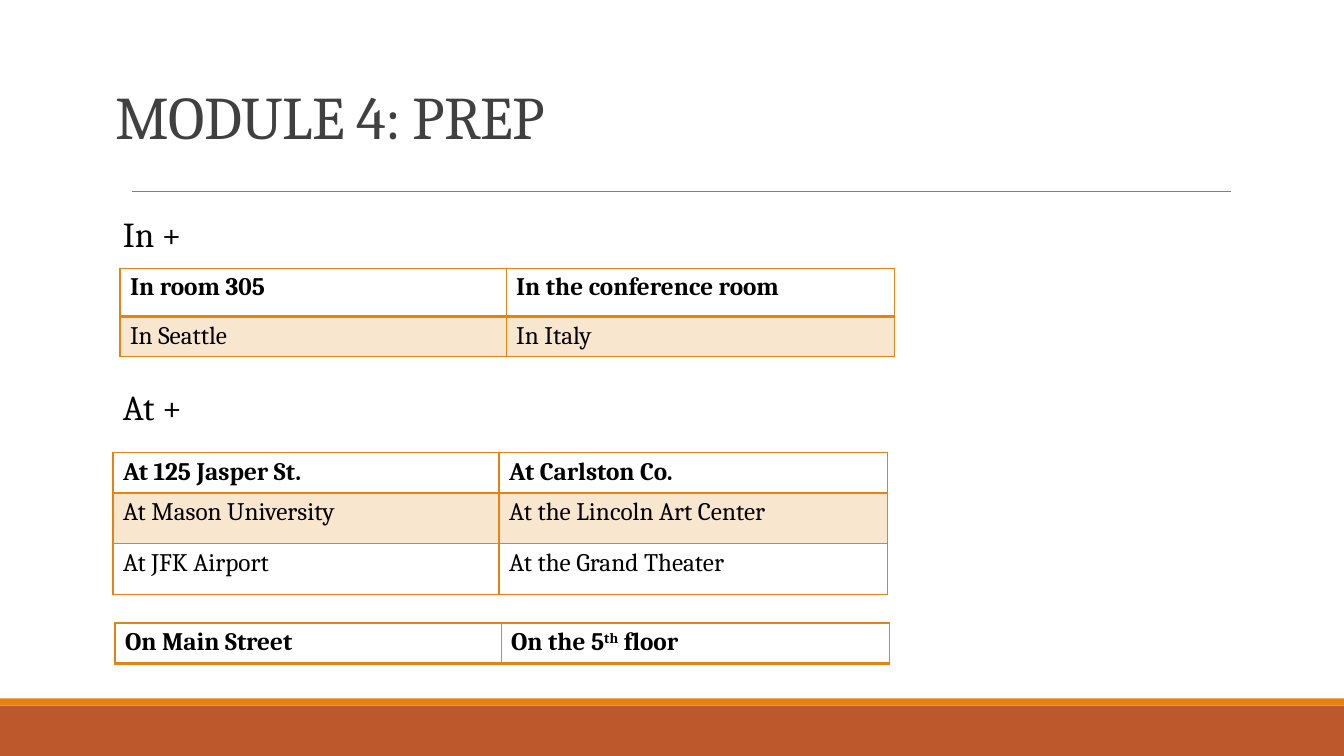
from lxml import etree
from pptx import Presentation
from pptx.dml.color import RGBColor
from pptx.enum.shapes import MSO_CONNECTOR, MSO_SHAPE
from pptx.enum.text import MSO_ANCHOR, MSO_AUTO_SIZE
from pptx.oxml.ns import qn
from pptx.util import Inches, Pt

STRAIGHT = MSO_CONNECTOR.STRAIGHT
RECTANGLE = MSO_SHAPE.RECTANGLE
BOTTOM = MSO_ANCHOR.BOTTOM
GROW = MSO_AUTO_SIZE.SHAPE_TO_FIT_TEXT

ORANGE = "E48312"
COLUMN_WIDTHS = [3.83, 3.85]


def style_font(font, size, color, bold=False):
    """Set typeface, size, hex colour and weight of a font."""
    font.name = "Cambria"
    font.size = Pt(size)
    font.bold = bold
    font.color.rgb = RGBColor.from_string(color)


def add_borders(cell, widths):
    """Draw orange borders, with widths in points by side tag."""
    properties = cell._tc.get_or_add_tcPr()
    for position, (side, width) in enumerate(widths.items()):
        line = etree.Element(qn(f"a:{side}"), w=str(Pt(width)))
        fill = etree.SubElement(line, qn("a:solidFill"))
        etree.SubElement(fill, qn("a:srgbClr"), val=ORANGE)
        properties.insert(position, line)


presentation = Presentation()
presentation.slide_width = Inches(13.33)
presentation.slide_height = Inches(7.5)
slide = presentation.slides.add_slide(presentation.slide_layouts[5])

# Footer bands and the rule under the title
for top, height, color in [(7, 0.5, "BD582C"), (6.93, 0.07, ORANGE)]:
    band = slide.shapes.add_shape(
        RECTANGLE, 0, Inches(top), presentation.slide_width, Inches(height))
    band.shadow.inherit = False
    band.fill.solid()
    band.fill.fore_color.rgb = RGBColor.from_string(color)
    band.line.fill.background()

rule = slide.shapes.add_connector(
    STRAIGHT, Inches(1.31), Inches(1.9), Inches(12.21), Inches(1.9))
rule.line.color.rgb = RGBColor.from_string("808080")
rule.line.width = Pt(0.5)
etree.SubElement(rule._element.spPr, qn("a:effectLst"))

# Title
title = slide.shapes.title
title.left, title.top = Inches(1.05), Inches(0.99)
title.width, title.height = Inches(11.5), Inches(0.57)
title.text_frame.text = "MODULE 4: PREP"
title.text_frame.vertical_anchor = BOTTOM
title.text_frame.auto_size = MSO_AUTO_SIZE.NONE
paragraph = title.text_frame.paragraphs[0]
paragraph.alignment = 1
paragraph.line_spacing = 0.85
style_font(paragraph.font, 43.2, "404040")
paragraph.runs[0].font._element.set("spc", "-50")

# Headings of the preposition groups
for text, top in [("In +", 2.06), ("At +", 3.78)]:
    heading = slide.shapes.add_textbox(
        Inches(1.12), Inches(top), Inches(7.7), Inches(0.52))
    heading.text_frame.word_wrap = True
    heading.text_frame.auto_size = GROW
    heading.text_frame.text = text
    style_font(heading.text_frame.paragraphs[0].font, 25, "000000")

# Example tables: left, top, row heights, rows; "^" encloses superscript
tables = [
    (1.19, 2.66, [0.48, 0.4],
     [["In room 305", "In the conference room"],
      ["In Seattle", "In Italy"]]),
    (1.12, 4.49, [0.4, 0.5, 0.51],
     [["At 125 Jasper St.", "At Carlston Co."],
      ["At Mason University", "At the Lincoln Art Center"],
      ["At JFK Airport", "At the Grand Theater"]]),
    (1.14, 6.18, [0.4],
     [["On Main Street", "On the 5^th^ floor"]]),
]
for left, top, heights, rows in tables:
    table = slide.shapes.add_table(
        len(rows), len(COLUMN_WIDTHS), Inches(left), Inches(top),
        Inches(sum(COLUMN_WIDTHS)), Inches(sum(heights))).table
    table.first_row = False
    table.horz_banding = False
    for column, width in zip(table.columns, COLUMN_WIDTHS):
        column.width = Inches(width)
    for row_index, texts in enumerate(rows):
        table.rows[row_index].height = Inches(heights[row_index])
        for column_index, text in enumerate(texts):
            cell = table.cell(row_index, column_index)
            paragraph = cell.text_frame.paragraphs[0]
            style_font(paragraph.font, 18, "000000", bold=row_index == 0)
            for part_index, part in enumerate(text.split("^")):
                run = paragraph.add_run()
                run.text = part
                if part_index == 1:
                    run.font._element.set("baseline", "30000")
            if row_index == 1:
                cell.fill.solid()
                cell.fill.fore_color.rgb = RGBColor.from_string(ORANGE)
                tint = cell._tc.tcPr.find(f".//{qn('a:srgbClr')}")
                etree.SubElement(tint, qn("a:alpha"), val="20000")
            else:
                cell.fill.background()
            add_borders(cell, {
                "lnL": 1, "lnR": 1,
                "lnT": 2 if row_index == 1 else 1,
                "lnB": 2 if row_index == 0 else 1})

presentation.save("out.pptx")
